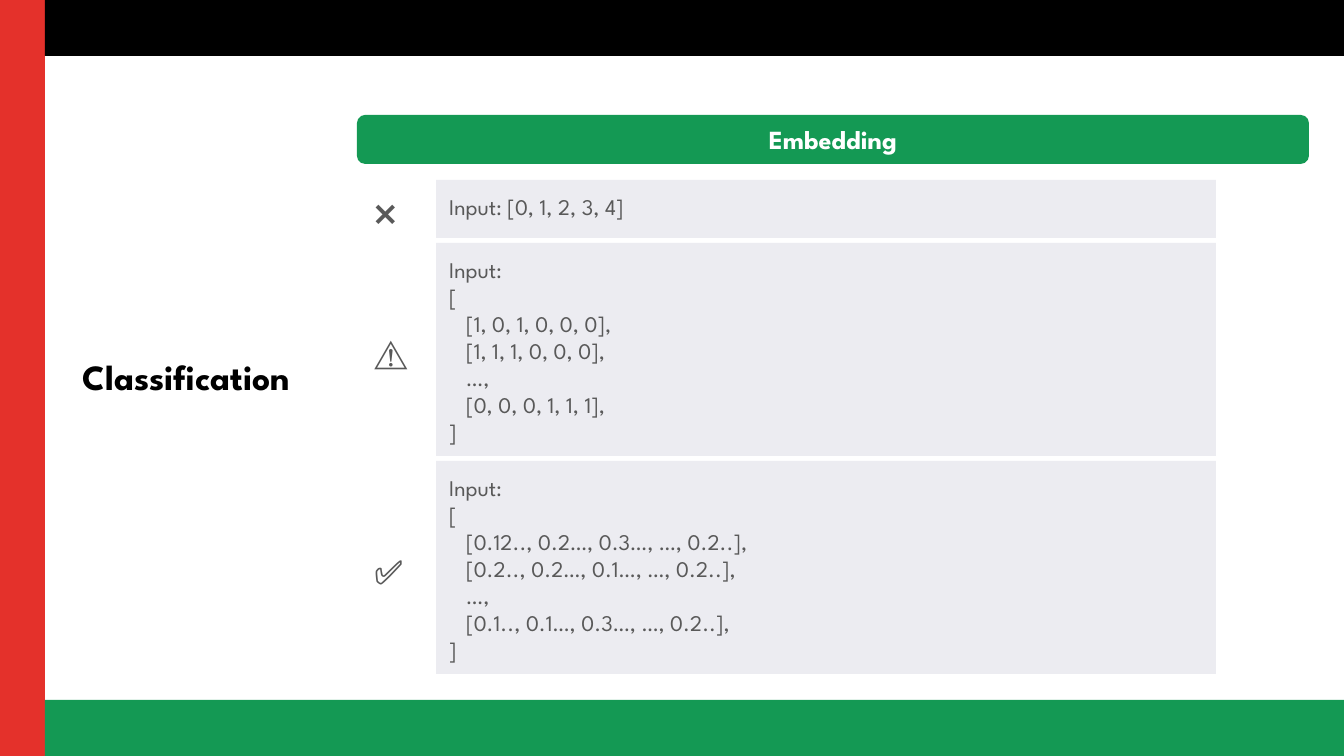
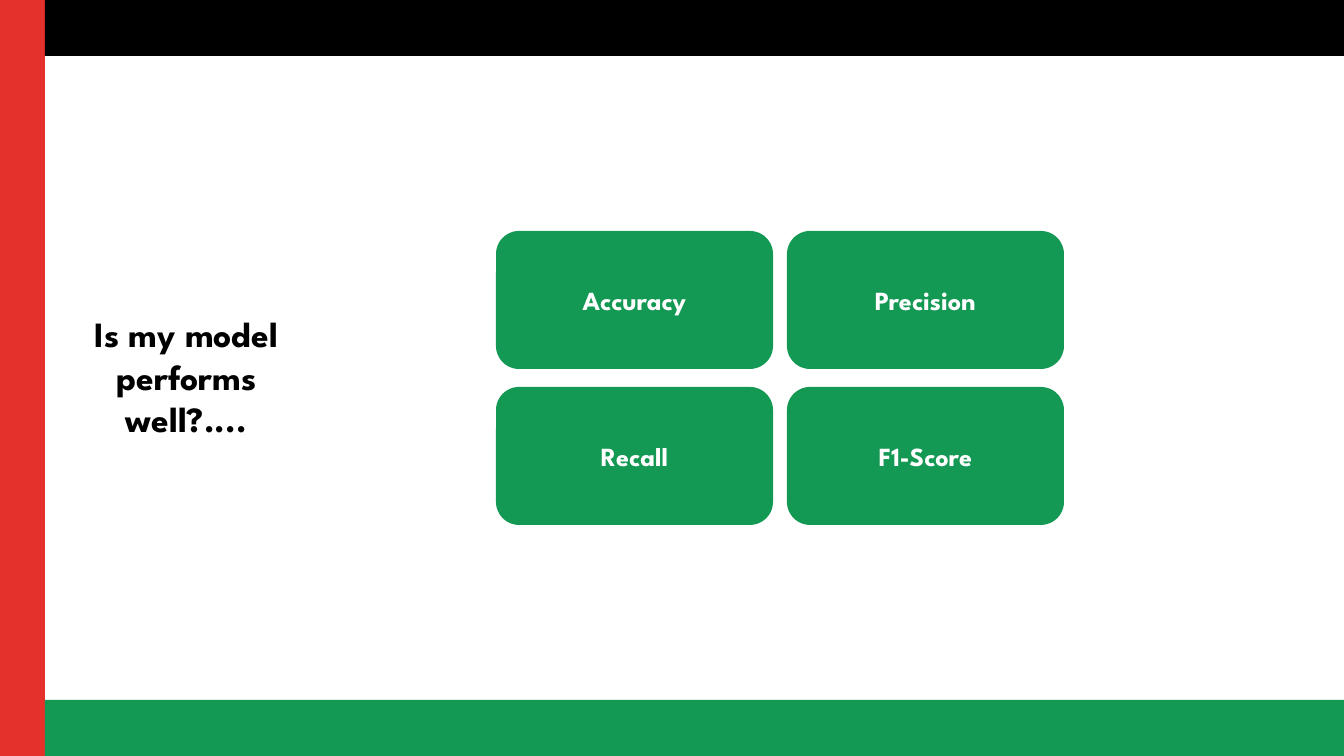
from pptx import Presentation
from pptx import util as u
from pptx.dml.color import RGBColor
from pptx.enum import shapes, text

PX_PER_INCH = 134.4
WIDTH, HEIGHT = 1344, 756
STRIPE, BAND = 45, 56
COLORS = {
    "red": "E4312B",
    "black": "000000",
    "green": "149954",
    "white": "FFFFFF",
    "panel": "ECECF1",
    "grey": "595959",
}
FONT = "League Spartan"
INDENT = 17

ROW_LEFT, ROW_TOP, ROW_WIDTH, ROW_GAP = 436, 180, 780, 5
ICON_LEFT, ICON_SIZE = 361, 58
ROWS = [
    ("❌", 58, ["Input: [0, 1, 2, 3, 4]"], []),
    ("⚠️", 213, ["Input:", "["],
     ["[1, 0, 1, 0, 0, 0],", "[1, 1, 1, 0, 0, 0],", "…,", "[0, 0, 0, 1, 1, 1],"]),
    ("✅", 213, ["Input:", "["],
     ["[0.12.., 0.2…, 0.3…, …, 0.2..],", "[0.2.., 0.2…, 0.1…, …, 0.2..],", "…,",
      "[0.1.., 0.1…, 0.3…, …, 0.2..],"]),
]

METRICS = ["Accuracy", "Precision", "Recall", "F1-Score"]
CARD_LEFT, CARD_TOP, CARD_WIDTH, CARD_HEIGHT = 496, 231, 277, 138
CARD_STEP_X, CARD_STEP_Y = 291, 156


def px(length):
    return u.Inches(length / PX_PER_INCH)


class Deck:
    def __init__(self):
        self.presentation = Presentation()
        self.presentation.slide_width = px(WIDTH)
        self.presentation.slide_height = px(HEIGHT)
        self.slide = None

    def add_slide(self, title):
        self.slide = self.presentation.slides.add_slide(self.presentation.slide_layouts[6])
        self.block(0, 0, STRIPE, HEIGHT, "red")
        self.block(STRIPE, 0, WIDTH - STRIPE, BAND, "black")
        self.block(STRIPE, HEIGHT - BAND, WIDTH - STRIPE, BAND, "green")
        box = self.slide.shapes.add_textbox(px(59), px(97), px(255), px(558))
        self.set_text(box, [title], 19, "black", heading=True)

    def block(self, left, top, width, height, fill, kind=shapes.MSO_SHAPE.RECTANGLE):
        shape = self.slide.shapes.add_shape(kind, px(left), px(top), px(width), px(height))
        shape.shadow.inherit = False
        shape.fill.solid()
        shape.fill.fore_color.rgb = RGBColor.from_string(COLORS[fill])
        shape.line.fill.background()
        return shape

    def set_text(self, shape, lines, size, color, font=FONT, heading=False):
        """Fill a shape with one paragraph a line; headings are bold and centred."""
        frame = shape.text_frame
        frame.word_wrap = True
        frame.margin_left = frame.margin_right = u.Inches(0.1)
        frame.margin_top = frame.margin_bottom = u.Inches(0.1)
        frame.vertical_anchor = text.MSO_ANCHOR.MIDDLE if heading else text.MSO_ANCHOR.TOP
        frame.text = "\n".join(lines)
        for paragraph in frame.paragraphs:
            paragraph.alignment = text.PP_ALIGN.CENTER if heading else text.PP_ALIGN.LEFT
            paragraph.font.name = font
            paragraph.font.size = u.Pt(size)
            paragraph.font.bold = heading
            paragraph.font.color.rgb = RGBColor.from_string(COLORS[color])

    def card(self, left, top, width, height, label):
        shape = self.block(left, top, width, height, "green",
                           shapes.MSO_SHAPE.ROUNDED_RECTANGLE)
        shape.adjustments[0] = 0.167
        self.set_text(shape, [label], 14, "white", heading=True)

    def code_panel(self, top, height, opening, items):
        """Draw a panel whose items are indented and closed by a bracket."""
        panel = self.block(ROW_LEFT, top, ROW_WIDTH, height, "panel")
        closing = ["]"] if items else []
        self.set_text(panel, opening + items + closing, 12, "grey")
        first = len(opening)
        for paragraph in panel.text_frame.paragraphs[first:first + len(items)]:
            paragraph._p.get_or_add_pPr().set("marL", str(px(INDENT)))

    def icon(self, top, symbol):
        box = self.slide.shapes.add_textbox(px(ICON_LEFT), px(top), px(ICON_SIZE), px(ICON_SIZE))
        self.set_text(box, [symbol], 18, "grey", font="Arial")


def add_embedding_slide(deck):
    deck.add_slide("Classification")
    deck.card(357, 115, 952, 49, "Embedding")
    top = ROW_TOP
    for symbol, height, opening, items in ROWS:
        deck.code_panel(top, height, opening, items)
        deck.icon(top + (height - ICON_SIZE) // 2, symbol)
        top += height + ROW_GAP


def add_metrics_slide(deck):
    deck.add_slide("Is my model performs well?....")
    for index, metric in enumerate(METRICS):
        row, column = divmod(index, 2)
        deck.card(CARD_LEFT + column * CARD_STEP_X, CARD_TOP + row * CARD_STEP_Y,
                  CARD_WIDTH, CARD_HEIGHT, metric)


def main():
    deck = Deck()
    add_embedding_slide(deck)
    add_metrics_slide(deck)
    deck.presentation.save("out.pptx")


if __name__ == "__main__":
    main()
